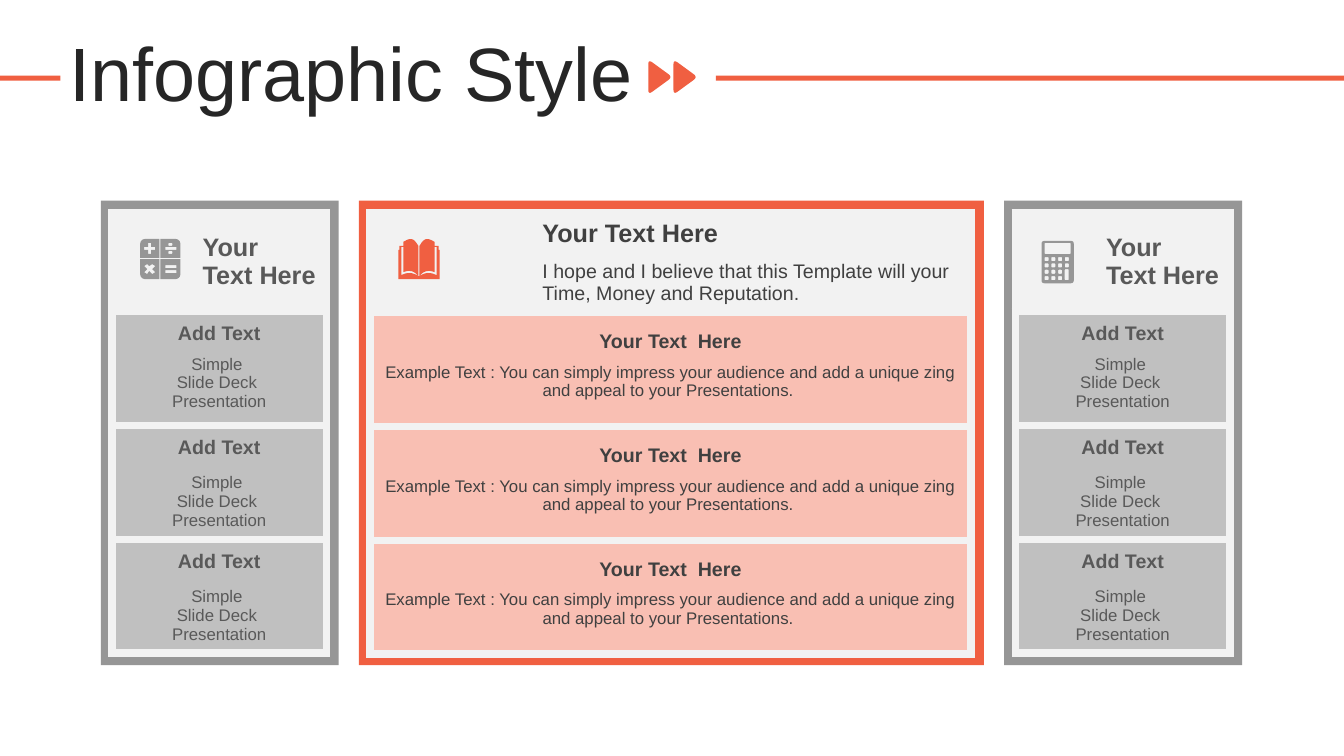
from dataclasses import dataclass

from lxml import etree
from pptx import Presentation, util as u
from pptx.dml.color import RGBColor
from pptx.enum import shapes, text as t
from pptx.oxml import ns

Vertex = tuple[float, ...]  # column, row and optional corner radius
Outline = list[Vertex]

COLUMNS, ROWS = 13.33, 7.5  # slide grid


@dataclass(frozen=True)
class Theme:
    font: str = "Arial"
    accent: str = "F05F41"
    accent_tint: str = "F9BFB3"
    grey: str = "969696"
    grey_tint: str = "C0C0C0"
    paper: str = "F2F2F2"
    title_ink: str = "262626"
    dark_ink: str = "404040"
    soft_ink: str = "595959"
    title: int = 54
    header: int = 18
    heading: int = 14
    body: int = 12
    border: int = 6


@dataclass(frozen=True)
class Panel:
    left: float
    width: float
    frame: str
    band: str
    ink: str
    columns: tuple[float, float]
    header: tuple[tuple[str, int, float], ...]  # text, size, row height
    heading: str
    body: str
    band_rows: tuple[float, float]
    body_anchors: tuple


THEME = Theme()
TOP, MIDDLE, BOTTOM = (t.MSO_ANCHOR.TOP, t.MSO_ANCHOR.MIDDLE, t.MSO_ANCHOR.BOTTOM)
PANEL_TOP, PANEL_HEIGHT = 1.99, 4.61
INSET_LEFT, INSET_TOP = 0.11, 0.12

deck = Presentation()
deck.slide_width, deck.slide_height = u.Inches(COLUMNS), u.Inches(ROWS)
page = deck.slides.add_slide(deck.slide_layouts[6])


def col(count: float) -> int:
    return round(count * deck.slide_width / COLUMNS)


def row(count: float) -> int:
    return round(count * deck.slide_height / ROWS)


def paint(shape, colour: str) -> None:
    shape.shadow.inherit = False
    shape.fill.solid()
    shape.fill.fore_color.rgb = RGBColor.from_string(colour)
    shape.line.fill.background()


def bar(left: float, top: float, width: float, height: float, colour: str) -> None:
    paint(page.shapes.add_shape(shapes.MSO_SHAPE.RECTANGLE, col(left), row(top),
                                col(width), row(height)), colour)


def write(frame, text: str, *, size: int, colour: str, bold: bool = False,
          align=t.PP_ALIGN.LEFT, spacing: float = 1.0) -> None:
    for index, line in enumerate(text.split("\n")):
        para = frame.paragraphs[0] if index == 0 else frame.add_paragraph()
        para.alignment, para.line_spacing = align, spacing
        span = para.add_run()
        span.text = line
        span.font.name, span.font.size, span.font.bold = THEME.font, u.Pt(size), bold
        span.font.color.rgb = RGBColor.from_string(colour)


# Outlines with softened corners
def soften(outline: Outline, steps: int = 6) -> Outline:
    points = []
    for index, (x, y, *rest) in enumerate(outline):
        radius = rest[0] if rest else 0
        if not radius:
            points.append((x, y))
            continue
        ends = []
        for near in (outline[index - 1], outline[(index + 1) % len(outline)]):
            dx, dy = near[0] - x, near[1] - y
            share = radius / (dx * dx + dy * dy) ** 0.5
            ends.append((x + dx * share, y + dy * share))
        for step in range(steps + 1):
            f = step / steps
            points.append(tuple((1 - f) ** 2 * a + 2 * f * (1 - f) * b + f * f * c
                                for a, b, c in zip(ends[0], (x, y), ends[1])))
    return points


def rect(left: float, top: float, width: float, height: float,
         radius: float = 0) -> Outline:
    right, bottom = left + width, top + height
    return [(left, top, radius), (right, top, radius),
            (right, bottom, radius), (left, bottom, radius)]


def draw(outlines: list[Outline], colour: str) -> None:
    paths = [[(col(x), row(y)) for x, y in soften(outline)] for outline in outlines]
    builder = page.shapes.build_freeform(*paths[0][0])
    for index, path in enumerate(paths):
        if index:
            builder.move_to(*path[0])
        builder.add_line_segments(path[1:], close=True)
    paint(builder.convert_to_shape(), colour)


# Table panels
def style_cell(cell, fill: str, sides: str) -> None:
    props = cell._tc.get_or_add_tcPr()
    for side in sides:
        line = etree.SubElement(props, ns.qn(f"a:ln{side}"), w=str(u.Pt(THEME.border)))
        solid = etree.SubElement(line, ns.qn("a:solidFill"))
        etree.SubElement(solid, ns.qn("a:srgbClr"), val=THEME.paper)
    cell.fill.solid()
    cell.fill.fore_color.rgb = RGBColor.from_string(fill)


def draw_panel(panel: Panel) -> None:
    bar(panel.left, PANEL_TOP, panel.width, PANEL_HEIGHT, panel.frame)
    heights = [height for _, _, height in panel.header] + list(panel.band_rows) * 3
    table_shape = page.shapes.add_table(
        len(heights), 2, col(panel.left + INSET_LEFT), row(PANEL_TOP + INSET_TOP),
        col(sum(panel.columns)), row(sum(heights)))
    table = table_shape.table
    table.first_row = table.horz_banding = False
    style = table._tbl.tblPr.find(ns.qn("a:tableStyleId"))
    style.text = "{2D5ABB26-0587-4C30-8999-92F81FD0307C}"  # no style, no grid
    for column, width in zip(table.columns, panel.columns):
        column.width = col(width)
    for line, height in zip(table.rows, heights):
        line.height = row(height)

    count = len(panel.header)
    for index, (text, size, _) in enumerate(panel.header):
        style_cell(table.cell(index, 0), THEME.paper, "LTB")
        cell = table.cell(index, 1)
        style_cell(cell, THEME.paper, "RTB")
        cell.vertical_anchor = BOTTOM if count > 1 and index == 0 else MIDDLE
        write(cell.text_frame, text, size=size, colour=panel.ink,
              bold=size == THEME.header)
    if count > 1:
        table.cell(0, 0).merge(table.cell(count - 1, 0))

    for band, body_anchor in enumerate(panel.body_anchors):
        parts = ((panel.heading, THEME.heading, True, BOTTOM, "LR"),
                 (panel.body, THEME.body, False, body_anchor, "LRB"))
        for offset, (text, size, bold, anchor, sides) in enumerate(parts):
            index = count + 2 * band + offset
            cell, other = table.cell(index, 0), table.cell(index, 1)
            for part in (cell, other):
                style_cell(part, panel.band, sides)
            cell.merge(other)
            cell.vertical_anchor = anchor
            write(cell.text_frame, text, size=size, colour=panel.ink, bold=bold,
                  align=t.PP_ALIGN.CENTER)


def side_panel(left: float) -> Panel:
    return Panel(left, 2.36, THEME.grey, THEME.grey_tint, THEME.soft_ink, (0.8, 1.33),
                 (("Your\nText Here", THEME.header, 0.98),), "Add Text",
                 "Simple \nSlide Deck \nPresentation", (0.38, 0.75),
                 (TOP, MIDDLE, MIDDLE))


CENTRE_PANEL = Panel(
    3.56, 6.2, THEME.accent, THEME.accent_tint, THEME.dark_ink, (1.61, 4.35),
    (("Your Text Here", THEME.header, 0.4),
     ("I hope and I believe that this Template will your Time, Money and Reputation.",
      THEME.heading, 0.59)),
    "Your Text  Here",
    "Example Text : You can simply impress your audience and add a unique zing "
    "and appeal to your Presentations. ", (0.45, 0.68), (TOP,) * 3)

# Title line
for arrow_left in (6.68, 6.43):
    draw([[(arrow_left, 0.59, 0.05), (arrow_left + 0.24, 0.765, 0.05),
           (arrow_left, 0.94, 0.05)]], THEME.accent)
bar(7.1, 0.75, 6.23, 0.05, THEME.accent)
bar(0, 0.75, 0.6, 0.05, THEME.accent)
title = page.shapes.add_textbox(col(0.59), row(0.37), col(12.42), row(0.79)).text_frame
title.word_wrap, title.vertical_anchor = True, MIDDLE
write(title, "Infographic Style", size=THEME.title, colour=THEME.title_ink, spacing=0.9)

# Panels
for panel in (side_panel(9.96), CENTRE_PANEL, side_panel(1.0)):
    draw_panel(panel)

# Calculator icon: case, screen, small keys and one tall key
keys = [rect(10.36 + 0.067 * c, 2.55 + 0.063 * r, 0.04, 0.04, 0.01)
        for r in range(4) for c in range(4) if not (c == 3 and r > 1)]
draw([rect(10.33, 2.39, 0.32, 0.42, 0.03), rect(10.36, 2.41, 0.26, 0.11, 0.01),
      *keys, rect(10.56, 2.67, 0.04, 0.11, 0.01)], THEME.grey)

# Operator icon: four tiles with plus, divide, times and equals cut out
tiles = []
for x_out, x_in in ((1.39, 1.58), (1.79, 1.59)):
    for y_out, y_in in ((2.37, 2.56), (2.77, 2.57)):
        tiles.append([(x_out, y_out, 0.06), (x_in, y_out), (x_in, y_in), (x_out, y_in)])
plus = [(1.47, 2.41), (1.5, 2.41), (1.5, 2.45), (1.54, 2.45), (1.54, 2.48), (1.5, 2.48),
        (1.5, 2.52), (1.47, 2.52), (1.47, 2.48), (1.43, 2.48), (1.43, 2.45), (1.47, 2.45)]
times = [(1.46, 2.62), (1.48, 2.64), (1.51, 2.62), (1.54, 2.64), (1.51, 2.67), (1.54, 2.7),
         (1.51, 2.72), (1.48, 2.69), (1.46, 2.72), (1.43, 2.7), (1.46, 2.67), (1.43, 2.64)]
draw([*tiles, plus, times, *(rect(1.64, y, 0.11, 0.03) for y in (2.45, 2.63, 2.68)),
      *(rect(1.67, y, 0.04, 0.03, 0.01) for y in (2.41, 2.49))], THEME.grey)

# Book icon: one half and its mirror about the spine
SPINE = 4.15
half_cover = [(3.95, 2.77), (3.95, 2.48), (3.96, 2.48), (3.96, 2.44), (4.0, 2.44),
              (4.0, 2.4), (4.09, 2.35, 0.07), (SPINE, 2.44), (SPINE, 2.77)]
half_gap = [(3.98, 2.45), (4.0, 2.45), (4.0, 2.7), (4.09, 2.67, 0.08),
            (SPINE, 2.74), (4.07, 2.69, 0.08), (3.98, 2.73)]
mirrored = [[(2 * SPINE + 0.01 - x, *rest) for x, *rest in half]
            for half in (half_cover, half_gap)]
draw([half_cover, half_gap, *mirrored, rect(SPINE, 2.74, 0.01, 0.03)], THEME.accent)

deck.save("out.pptx")
